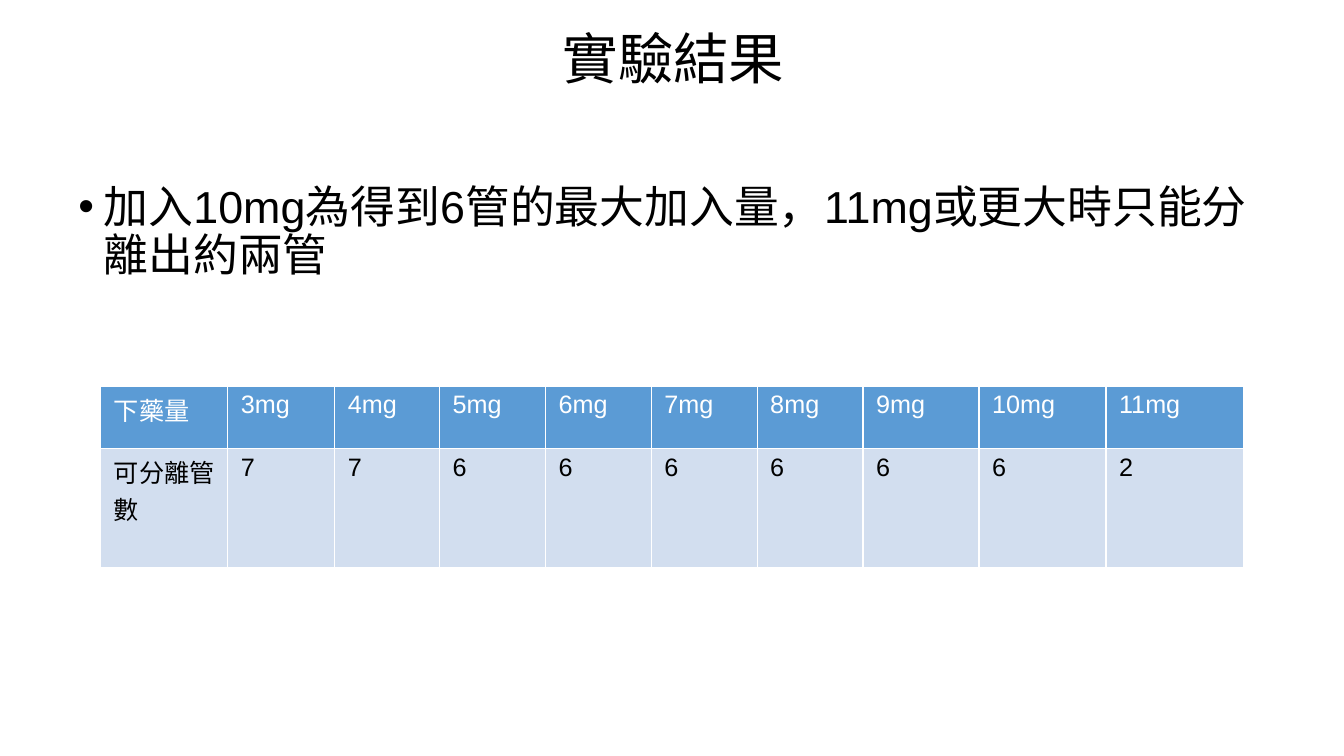
import pptx
import pptx.util
import pptx.dml.color
import pptx.enum.text
import pptx.oxml.ns
from lxml import etree

Inches = pptx.util.Inches
Pt = pptx.util.Pt
qn = pptx.oxml.ns.qn
COLORS = {"ink": "000000", "white": "FFFFFF", "head": "5B9BD5", "body": "D2DEEF"}


def style(para, size, face, color):
    para.font.size = Pt(size)
    para.font.name = face
    para.font.color.rgb = pptx.dml.color.RGBColor.from_string(COLORS[color])


def add_text(box, text):
    area = slide.shapes.add_textbox(*[Inches(n) for n in box]).text_frame
    area.word_wrap = True
    para = area.paragraphs[0]
    para.text = text
    para.line_spacing = 0.9
    return area, para


deck = pptx.Presentation()
deck.slide_width = Inches(13.33)
deck.slide_height = Inches(7.5)
slide = deck.slides.add_slide(deck.slide_layouts[6])

# Title
area, title = add_text((0.68, 0.31, 12, 1.38), "實驗結果")
area.margin_top = 0
title.alignment = pptx.enum.text.PP_ALIGN.CENTER
style(title, 39.6, "Calibri", "ink")

# Bullet with hanging indent
area, point = add_text((0.68, 1.78, 12, 5), "加入10mg為得到6管的最大加入量，11mg或更大時只能分離出約兩管")
props = point._p.get_or_add_pPr()
props.set("marL", str(Inches(0.25)))
props.set("indent", str(-Inches(0.25)))
etree.SubElement(props, qn("a:buFont"), typeface="Arial")
etree.SubElement(props, qn("a:buChar"), char="•")
style(point, 32, "Arial", "ink")

# Dose table
doses = ["下藥量"] + [f"{n}mg" for n in range(3, 12)]
tubes = ["可分離管數", "7", "7"] + ["6"] * 6 + ["2"]
widths = [1.26, 1.06, 1.04] + [1.05] * 4 + [1.15, 1.26, 1.36]
heights = [0.62, 1.18]
frame = slide.shapes.add_table(2, len(doses), Inches(1), Inches(3.83),
                               Inches(sum(widths)), Inches(sum(heights)))
table = frame.table
for col, width in zip(table.columns, widths):
    col.width = Inches(width)

looks = [("head", "white"), ("body", "ink")]
for r, (texts, (fill, ink)) in enumerate(zip([doses, tubes], looks)):
    table.rows[r].height = Inches(heights[r])
    for c, text in enumerate(texts):
        cell = table.cell(r, c)
        cell.text = text
        cell.margin_left = cell.margin_right = Inches(0.13)
        cell.margin_top = cell.margin_bottom = Inches(0.05)
        style(cell.text_frame.paragraphs[0], 18, "Arial", ink)
        # Borders come before the fill in the cell properties
        props = cell._tc.get_or_add_tcPr()
        for side in ("lnL", "lnR", "lnT", "lnB"):
            line = etree.SubElement(props, qn("a:" + side), w=str(Pt(1)))
            solid = etree.SubElement(line, qn("a:solidFill"))
            etree.SubElement(solid, qn("a:srgbClr"), val=COLORS["white"])
        cell.fill.solid()
        cell.fill.fore_color.rgb = pptx.dml.color.RGBColor.from_string(COLORS[fill])

deck.save("out.pptx")
